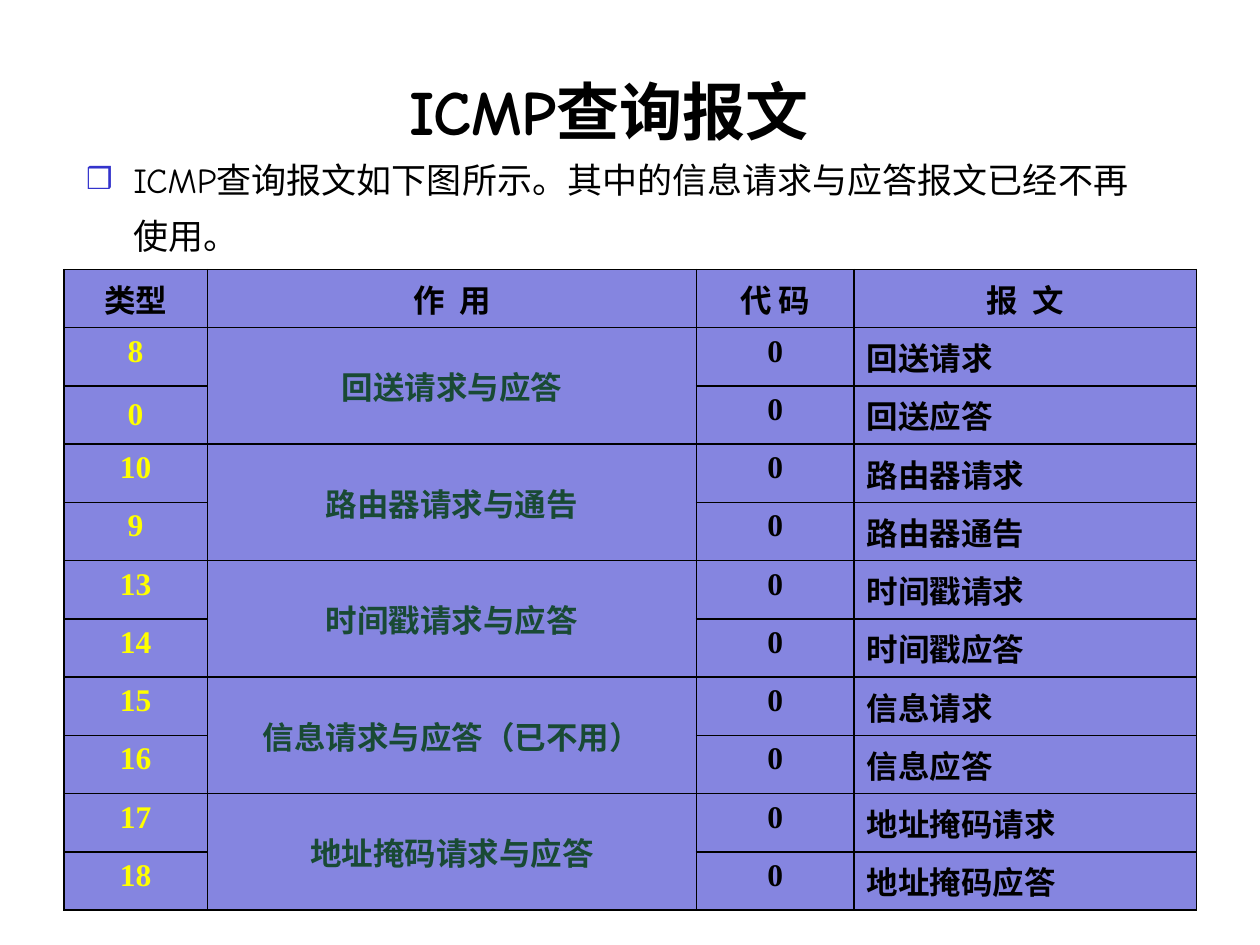
from lxml import etree
from pptx import Presentation
from pptx.dml.color import RGBColor
from pptx.enum import text as t
from pptx.oxml import ns
from pptx.util import Pt

BLACK = RGBColor(0x00, 0x00, 0x00)
LAVENDER = RGBColor(0x85, 0x85, 0xE0)
YELLOW = RGBColor(0xFF, 0xFF, 0x00)
GREEN = RGBColor(0x19, 0x4A, 0x35)
BULLET_BLUE = RGBColor(0x33, 0x33, 0xCC)

HEADING_FONT = "Comic Neue"
TABLE_FONT = "Times New Roman"
HANGING = 27

HEADERS = ["类型", "作  用", "代 码", "报  文"]
COLUMN_WIDTHS = [82, 279.5, 90, 195.8]
ROW_HEIGHT = 33.2
# purpose, then the (type, message) pairs that share it
QUERIES = [
    ("回送请求与应答", [("8", "回送请求"), ("0", "回送应答")]),
    ("路由器请求与通告", [("10", "路由器请求"), ("9", "路由器通告")]),
    ("时间戳请求与应答", [("13", "时间戳请求"), ("14", "时间戳应答")]),
    ("信息请求与应答（已不用）", [("15", "信息请求"), ("16", "信息应答")]),
    ("地址掩码请求与应答", [("17", "地址掩码请求"), ("18", "地址掩码应答")]),
]


def add_text(para, words, size, font, color=BLACK, bold=False, align=None):
    span = para.add_run()
    span.text = words
    span.font.size = Pt(size)
    span.font.name = font
    span.font.bold = bold
    span.font.color.rgb = color
    if align is not None:
        para.alignment = align


def place(shape, left, top, width, height):
    shape.left, shape.top = Pt(left), Pt(top)
    shape.width, shape.height = Pt(width), Pt(height)


def hang(para):
    """Give the paragraph a hanging indent and return its properties."""
    props = para._p.get_or_add_pPr()
    props.set("marL", str(Pt(HANGING)))
    props.set("indent", str(-Pt(HANGING)))
    return props


def add_bullet(para, char, color, percent):
    props = hang(para)
    bullet_color = etree.SubElement(props, ns.qn("a:buClr"))
    etree.SubElement(bullet_color, ns.qn("a:srgbClr"), val=str(color))
    etree.SubElement(props, ns.qn("a:buSzPct"), val=str(percent * 1000))
    etree.SubElement(props, ns.qn("a:buChar"), char=char)


def add_borders(cell, color=BLACK, width=1):
    props = cell._tc.get_or_add_tcPr()
    for index, side in enumerate(["lnL", "lnR", "lnT", "lnB"]):
        line = etree.Element(ns.qn(f"a:{side}"), w=str(Pt(width)))
        fill = etree.SubElement(line, ns.qn("a:solidFill"))
        etree.SubElement(fill, ns.qn("a:srgbClr"), val=str(color))
        props.insert(index, line)


def write_cell(cell, words, color=BLACK, align=t.PP_ALIGN.CENTER, middle=False):
    if middle:
        cell.vertical_anchor = t.MSO_ANCHOR.MIDDLE
    para = cell.text_frame.paragraphs[0]
    hang(para)
    add_text(para, words, 18, TABLE_FONT, color=color, bold=True, align=align)


def fill_title(title):
    place(title, 42, 18, 612, 90)
    title.text_frame.auto_size = t.MSO_AUTO_SIZE.NONE
    title.text_frame.vertical_anchor = t.MSO_ANCHOR.MIDDLE
    add_text(title.text_frame.paragraphs[0], "ICMP查询报文", 36, HEADING_FONT,
             bold=True, align=t.PP_ALIGN.CENTER)


def fill_body(body):
    place(body, 42, 87, 612, 366)
    body.text_frame.auto_size = t.MSO_AUTO_SIZE.NONE
    para = body.text_frame.paragraphs[0]
    add_bullet(para, "❒", BULLET_BLUE, 85)
    add_text(para, "ICMP查询报文如下图所示。其中的信息请求与应答报文已经不再使用。",
             20, HEADING_FONT)
    add_text(para, " ", 28, HEADING_FONT)


def add_query_table(page):
    row_count = 1 + sum(len(messages) for _, messages in QUERIES)
    frame = page.shapes.add_table(
        row_count, len(HEADERS), Pt(36.5), Pt(154),
        Pt(sum(COLUMN_WIDTHS)), Pt(ROW_HEIGHT * row_count))
    table = frame.table
    table.first_row = table.horz_banding = False
    for column, width in zip(table.columns, COLUMN_WIDTHS):
        column.width = Pt(width)
    for row in table.rows:
        row.height = Pt(ROW_HEIGHT)
    for cell in table.iter_cells():
        cell.fill.solid()
        cell.fill.fore_color.rgb = LAVENDER
        add_borders(cell)

    for index, header in enumerate(HEADERS):
        write_cell(table.cell(0, index), header, middle=True)
    row = 1
    for purpose, messages in QUERIES:
        first = table.cell(row, 1)
        first.merge(table.cell(row + len(messages) - 1, 1))
        write_cell(first, purpose, color=GREEN, middle=True)
        for kind, message in messages:
            write_cell(table.cell(row, 0), kind, color=YELLOW, middle=kind == "0")
            write_cell(table.cell(row, 2), "0")
            write_cell(table.cell(row, 3), message, align=t.PP_ALIGN.LEFT)
            row += 1


def main():
    deck = Presentation()
    deck.slide_width, deck.slide_height = Pt(720), Pt(540)
    page = deck.slides.add_slide(deck.slide_layouts[1])
    fill_title(page.shapes.title)
    fill_body(page.placeholders[1])
    add_query_table(page)
    deck.save("out.pptx")


if __name__ == "__main__":
    main()
